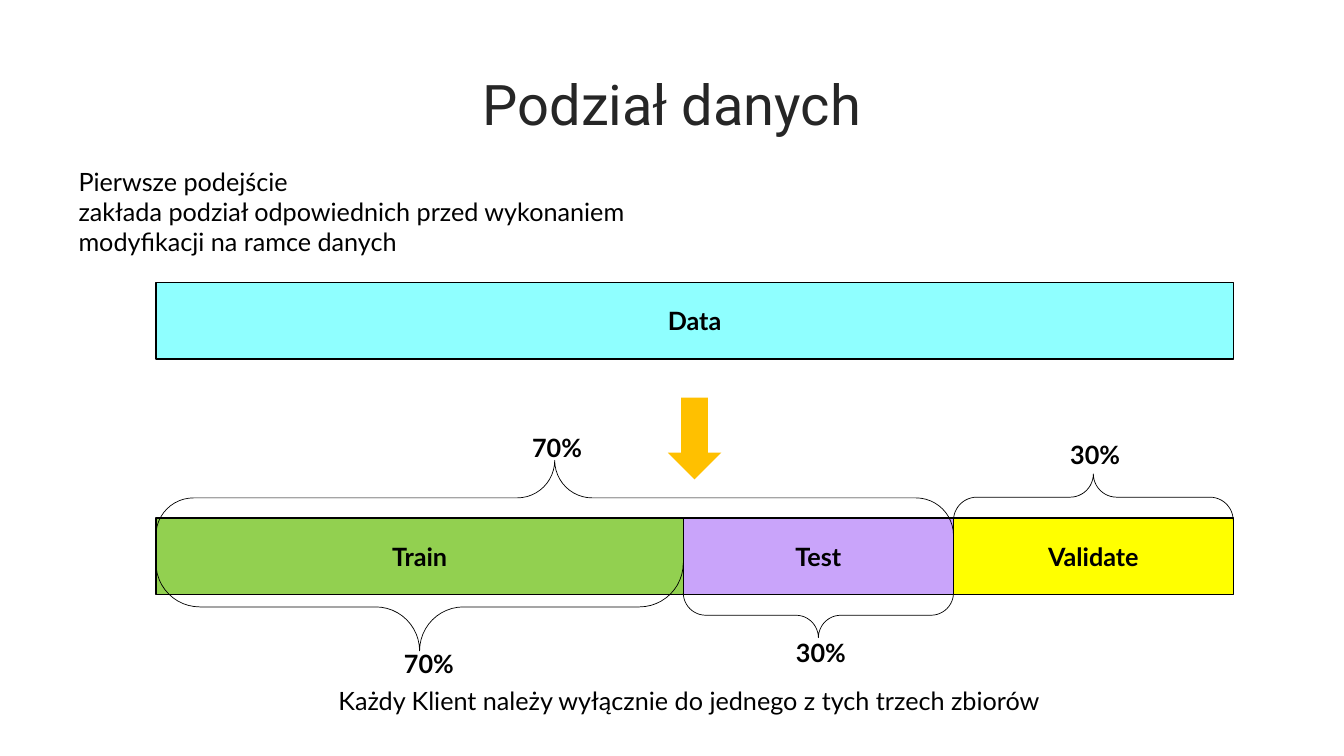
from dataclasses import dataclass

from pptx import Presentation
from pptx.dml.color import RGBColor
from pptx.enum.shapes import MSO_SHAPE
from pptx.enum.text import MSO_ANCHOR, PP_ALIGN
from pptx.shapes.autoshape import Shape
from pptx.slide import Slide
from pptx.util import Cm, Pt

RECTANGLE = MSO_SHAPE.RECTANGLE
DOWN_ARROW = MSO_SHAPE.DOWN_ARROW
BRACE_PAIR = MSO_SHAPE.DOUBLE_BRACE
TOP, MIDDLE = MSO_ANCHOR.TOP, MSO_ANCHOR.MIDDLE
LEFT, CENTER = PP_ALIGN.LEFT, PP_ALIGN.CENTER

BLACK = "000000"
BAR_LEFT, BAR_WIDTH, BAR_HEIGHT = 3.93, 27.15, 1.93
DATA_TOP, SPLIT_TOP = 7.12, 13.05
ARROW_WIDTH = 1.35
LABEL_WIDTH, LABEL_HEIGHT = 2.31, 1.02


@dataclass
class Box:
    """A rectangle on the slide, in centimetres."""
    left: float
    top: float
    width: float
    height: float


@dataclass
class Part:
    name: str
    width: float
    fill: str


@dataclass
class Brace:
    """A brace pair over parts first to last; tip is the height of its visible point."""
    first: int
    last: int
    tip: float
    length: float
    points_up: bool
    label: str
    label_left: float
    label_top: float


PARTS = [
    Part("Train", 13.29, "92D050"),
    Part("Test", 6.81, "C9A4FA"),
    Part("Validate", 7.05, "FFFF00"),
]
BRACES = [
    Brace(2, 2, 11.94, 12.04, True, "30%", 26.72, 10.95),
    Brace(0, 1, 11.6, 11.35, True, "70%", 13.16, 10.77),
    Brace(1, 1, 16.07, 19.99, False, "30%", 19.81, 15.93),
    Brace(0, 0, 16.4, 18.87, False, "70%", 9.93, 16.21),
]


def color(value: str) -> RGBColor:
    return RGBColor.from_string(value)


def write(shape: Shape, lines: list[str], size: float = 18, font: str = "Lato",
          ink: str = BLACK, bold: bool = False, align: PP_ALIGN = LEFT,
          anchor: MSO_ANCHOR = TOP, spacing: float = 1.0) -> None:
    """Fill the shape with one paragraph, broken into the given lines."""
    frame = shape.text_frame
    frame.word_wrap = True
    frame.vertical_anchor = anchor
    paragraph = frame.paragraphs[0]
    paragraph.alignment = align
    paragraph.line_spacing = spacing
    for index, line in enumerate(lines):
        if index:
            paragraph.add_line_break()
        run = paragraph.add_run()
        run.text = line
        run.font.size = Pt(size)
        run.font.name = font
        run.font.bold = bold
        run.font.color.rgb = color(ink)


def add_text_box(slide: Slide, box: Box) -> Shape:
    return slide.shapes.add_textbox(
        Cm(box.left), Cm(box.top), Cm(box.width), Cm(box.height))


def add_figure(slide: Slide, kind: MSO_SHAPE, box: Box, fill: str = "",
               line_width: float = 0) -> Shape:
    """Add a preset shape; an empty fill or a zero line width means none."""
    shape = slide.shapes.add_shape(
        kind, Cm(box.left), Cm(box.top), Cm(box.width), Cm(box.height))
    shape.shadow.inherit = False
    if fill:
        shape.fill.solid()
        shape.fill.fore_color.rgb = color(fill)
    else:
        shape.fill.background()
    if line_width:
        shape.line.color.rgb = color(BLACK)
        shape.line.width = Pt(line_width)
    else:
        shape.line.fill.background()
    return shape


def add_bar(slide: Slide, name: str, left: float, top: float, width: float,
            fill: str) -> None:
    bar = add_figure(slide, RECTANGLE, Box(left, top, width, BAR_HEIGHT), fill, 1)
    write(bar, [name], bold=True, align=CENTER, anchor=MIDDLE)


def part_left(index: int) -> float:
    return BAR_LEFT + sum(part.width for part in PARTS[:index])


def add_brace(slide: Slide, brace: Brace) -> None:
    left = part_left(brace.first)
    span = part_left(brace.last + 1) - left
    middle_x = left + span / 2
    middle_y = brace.tip + brace.length / 2 * (1 if brace.points_up else -1)
    box = Box(middle_x - brace.length / 2, middle_y - span / 2, brace.length, span)
    add_figure(slide, BRACE_PAIR, box, line_width=0.5).rotation = 270
    label = add_text_box(
        slide, Box(brace.label_left, brace.label_top, LABEL_WIDTH, LABEL_HEIGHT))
    write(label, [brace.label], bold=True)


def main() -> None:
    presentation = Presentation()
    presentation.slide_width = Cm(33.87)
    presentation.slide_height = Cm(19.05)
    slide = presentation.slides.add_slide(presentation.slide_layouts[6])

    title = add_text_box(slide, Box(2.33, 0.86, 29.21, 3.68))
    write(title, ["Podział danych"], size=40, font="Roboto", ink="262626",
          align=CENTER, anchor=MIDDLE, spacing=0.9)
    approach = add_text_box(slide, Box(1.73, 4.06, 15.49, 2.57))
    write(approach, [
        "Pierwsze podejście",
        "zakłada podział odpowiednich przed wykonaniem modyfikacji na ramce danych",
    ])

    add_bar(slide, "Data", BAR_LEFT, DATA_TOP, BAR_WIDTH, "8FFFFF")
    arrow_left = BAR_LEFT + (BAR_WIDTH - ARROW_WIDTH) / 2
    add_figure(slide, DOWN_ARROW, Box(arrow_left, 10.02, ARROW_WIDTH, 2.06), "FFC000")
    for index, part in enumerate(PARTS):
        add_bar(slide, part.name, part_left(index), SPLIT_TOP, part.width, part.fill)
    for brace in BRACES:
        add_brace(slide, brace)

    conclusion = add_text_box(slide, Box(8.28, 17.15, 18.44, 1.02))
    write(conclusion, ["Każdy Klient należy wyłącznie do jednego z tych trzech zbiorów"])
    presentation.save("out.pptx")


if __name__ == "__main__":
    main()
